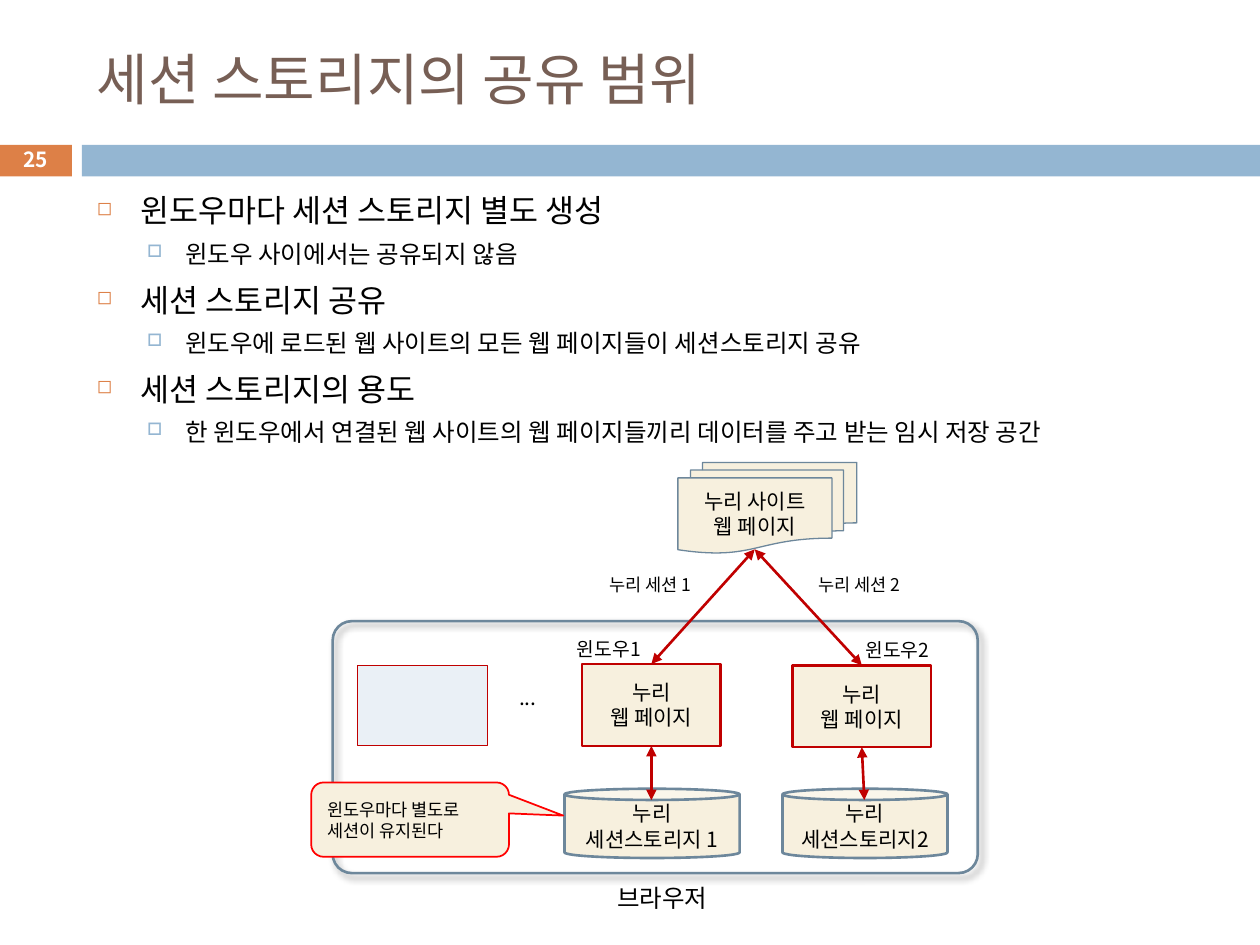
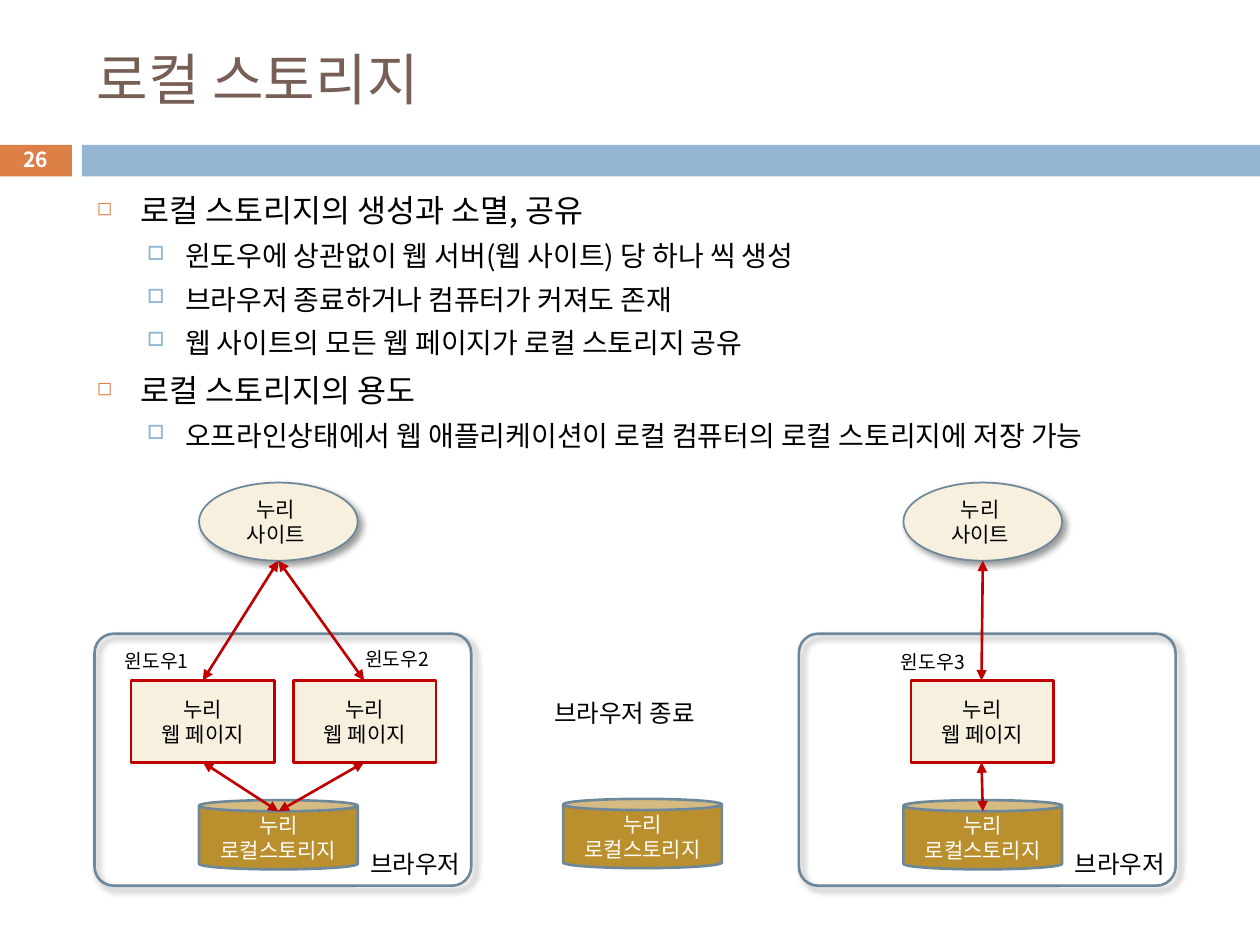
"""Builds two slides on how browsers share session storage and local storage."""
from dataclasses import dataclass
from typing import NamedTuple, Optional

from lxml.etree import SubElement
from pptx import Presentation
from pptx.dml.color import RGBColor
from pptx.enum.shapes import MSO_CONNECTOR, MSO_SHAPE as Preset
from pptx.enum.text import MSO_ANCHOR as Anchor, MSO_AUTO_SIZE as AutoSize, PP_ALIGN as Align
from pptx.oxml.ns import qn
from pptx.util import Emu, Pt

PX = 9144


@dataclass(frozen=True)
class Theme:
    """Colours, font and type sizes of the deck."""
    font: str = "Noto Sans CJK KR"
    brown: str = "775F55"
    orange: str = "DD8047"
    blue: str = "94B6D2"
    pale_blue: str = "EAF0F6"
    slate: str = "6D879B"
    cream: str = "F7F0DE"
    gold: str = "BA8F2D"
    crimson: str = "C00000"
    red: str = "FF0000"
    black: str = "000000"
    white: str = "FFFFFF"
    title_size: float = 32
    topic_size: float = 18
    caption_size: float = 14
    node_size: float = 12
    number_size: float = 11.9
    window_size: float = 11
    note_size: float = 10


THEME = Theme()


class TextStyle(NamedTuple):
    """Type size, colour and placing of a text."""
    size: float
    color: str = THEME.black
    align: Align = Align.CENTER
    bold: bool = False
    wrap: bool = True


class Look(NamedTuple):
    """Outline, paint and text style of a kind of box."""
    preset: Optional[Preset]
    text: TextStyle
    fill: Optional[str] = None
    line: Optional[str] = None
    width: float = 1.5
    shadow: bool = False
    adjustments: tuple[float, ...] = ()
    insets: tuple[int, int, int, int] = (10, 5, 10, 5)


class Point(NamedTuple):
    """A place on the slide in px."""
    x: int
    y: int


class Box(NamedTuple):
    """One shape or text box with its lines of text."""
    look: Look
    left: int
    top: int
    width: int
    height: int
    lines: tuple[str, ...] = ()

    def at_height(self, offset: int) -> Point:
        """Return the point on the vertical axis at an offset from the top."""
        return Point(self.left + self.width // 2, self.top + offset)

    def head(self) -> Point:
        """Return the middle of the top edge."""
        return self.at_height(0)

    def foot(self) -> Point:
        """Return the middle of the bottom edge."""
        return self.at_height(self.height)

    def rim(self) -> Point:
        """Return the front of the rim of a storage can."""
        return self.at_height(9)


class Arrow(NamedTuple):
    """A double-headed link between two points."""
    start: Point
    end: Point


class BulletStyle(NamedTuple):
    """Mark, indents and spacing of an outline level."""
    mark: str
    color: str
    percent: int
    margin: int
    hanging: int
    space: float


class Bullet(NamedTuple):
    """One line of the outline."""
    level: int
    text: str


class Page(NamedTuple):
    """The whole content of one slide."""
    number: int
    title: str
    detail_size: float
    bullets: tuple[Bullet, ...]
    boxes: tuple[Box, ...]
    arrows: tuple[Arrow, ...]


NODE = TextStyle(THEME.node_size)
CAPTION = TextStyle(THEME.caption_size, align=Align.LEFT, wrap=False)
TITLE = Look(None, TextStyle(THEME.title_size, THEME.brown, Align.LEFT))
NUMBER = Look(None, TextStyle(THEME.number_size, THEME.white, bold=True))
DOTS = Look(None, NODE)
BROWSER_NAME = Look(None, CAPTION)
WINDOW_NAME = Look(None, CAPTION._replace(size=THEME.window_size))
SESSION_NAME = Look(None, TextStyle(THEME.note_size, wrap=False))
ORANGE_BAND = Look(Preset.RECTANGLE, NODE, THEME.orange)
BLUE_BAND = ORANGE_BAND._replace(fill=THEME.blue)
BROWSER = Look(Preset.ROUNDED_RECTANGLE, NODE, None, THEME.slate, shadow=True, adjustments=(0.076,))
WEB_PAGE = Look(Preset.RECTANGLE, NODE, THEME.cream, THEME.crimson)
EMPTY_WINDOW = WEB_PAGE._replace(fill=THEME.pale_blue, width=0.75)
SESSION_STORE = Look(Preset.CAN, NODE, THEME.cream, THEME.slate, adjustments=(0.162,))
LOCAL_STORE = SESSION_STORE._replace(fill=THEME.gold, text=NODE._replace(color=THEME.white))
SITE = Look(Preset.OVAL, NODE, THEME.cream, THEME.slate, 1, True, insets=(0, 5, 4, 5))
SITE_PAGES = Look(Preset.FLOWCHART_MULTIDOCUMENT, NODE, THEME.cream, THEME.slate, 0.75)
CALLOUT = Look(Preset.ROUNDED_RECTANGULAR_CALLOUT, TextStyle(THEME.note_size, align=Align.LEFT),
               THEME.cream, THEME.red, 1, adjustments=(0.774, -0.054, 0.167))
BULLET_STYLES = (BulletStyle("◻", THEME.orange, 60, 35, 35, 7),
                 BulletStyle("□", THEME.blue, 70, 70, 30, 5.5))
BANDS = (Box(ORANGE_BAND, -1, 115, 58, 25), Box(BLUE_BAND, 65, 115, 935, 25))
WEB_PAGE_LINES = ("누리", "웹 페이지")


def px(*lengths: int) -> list[Emu]:
    """Turn px into EMU."""
    return [Emu(length * PX) for length in lengths]


def style_paragraph(paragraph, style: TextStyle) -> None:
    """Set alignment and font of a paragraph."""
    paragraph.alignment = style.align
    font = paragraph.font
    font.size, font.bold, font.name = Pt(style.size), style.bold, THEME.font
    font.color.rgb = RGBColor.from_string(style.color)
    properties = paragraph._p.pPr.find(qn("a:defRPr"))
    SubElement(properties, qn("a:ea"), typeface=THEME.font)


def write_lines(frame, lines: tuple[str, ...], style: TextStyle) -> None:
    """Write one styled paragraph for each line."""
    for index, line in enumerate(lines):
        paragraph = frame.add_paragraph() if index else frame.paragraphs[0]
        paragraph.text = line
        style_paragraph(paragraph, style)


def paint(shape, look: Look) -> None:
    """Apply fill, line, shadow and adjustments of a look."""
    if look.fill:
        shape.fill.solid()
        shape.fill.fore_color.rgb = RGBColor.from_string(look.fill)
    else:
        shape.fill.background()
    if look.line:
        shape.line.color.rgb = RGBColor.from_string(look.line)
        shape.line.width = Pt(look.width)
    else:
        shape.line.fill.background()
    for index, value in enumerate(look.adjustments):
        shape.adjustments[index] = value
    shape.shadow.inherit = False
    if look.shadow:
        effects = shape.element.spPr.find(qn("a:effectLst"))
        shadow = SubElement(effects, qn("a:outerShdw"), blurRad=str(Pt(4)), dist=str(Pt(3)),
                            dir=str(45 * 60000), algn="tl", rotWithShape="0")
        color = SubElement(shadow, qn("a:srgbClr"), val=THEME.black)
        SubElement(color, qn("a:alpha"), val="40000")


def draw_box(slide, box: Box) -> None:
    """Draw a shape or a text box."""
    look, place = box.look, px(*box[1:5])
    if look.preset is None:
        shape = slide.shapes.add_textbox(*place)
    else:
        shape = slide.shapes.add_shape(look.preset, *place)
        paint(shape, look)
    frame = shape.text_frame
    frame.word_wrap = look.text.wrap
    frame.vertical_anchor = Anchor.MIDDLE if look.text.wrap else Anchor.TOP
    if not look.text.wrap:
        frame.auto_size = AutoSize.SHAPE_TO_FIT_TEXT
    (frame.margin_left, frame.margin_top,
     frame.margin_right, frame.margin_bottom) = px(*look.insets)
    write_lines(frame, box.lines, look.text)


def draw_arrow(slide, arrow: Arrow) -> None:
    """Draw a line with a triangle at both ends."""
    connector = slide.shapes.add_connector(MSO_CONNECTOR.STRAIGHT, *px(*arrow.start, *arrow.end))
    connector.line.color.rgb = RGBColor.from_string(THEME.crimson)
    connector.line.width = Pt(1.5)
    properties = connector.element.spPr
    for end in ("a:headEnd", "a:tailEnd"):
        SubElement(properties.find(qn("a:ln")), qn(end), type="triangle")
    SubElement(properties, qn("a:effectLst"))


def draw_outline(slide, bullets: tuple[Bullet, ...], detail_size: float) -> None:
    """Write the two-level bullet list."""
    frame = slide.shapes.add_textbox(*px(67, 147, 892, 551)).text_frame
    frame.word_wrap = True
    for index, bullet in enumerate(bullets):
        style = BULLET_STYLES[bullet.level]
        paragraph = frame.add_paragraph() if index else frame.paragraphs[0]
        paragraph.text = bullet.text
        paragraph.level = bullet.level
        properties = paragraph._p.get_or_add_pPr()
        properties.set("marL", str(style.margin * PX))
        properties.set("indent", str(-style.hanging * PX))
        color = SubElement(properties, qn("a:buClr"))
        SubElement(color, qn("a:srgbClr"), val=style.color)
        SubElement(properties, qn("a:buSzPct"), val=str(style.percent * 1000))
        SubElement(properties, qn("a:buChar"), char=style.mark)
        if index:
            paragraph.space_before = Pt(style.space)
        size = detail_size if bullet.level else THEME.topic_size
        style_paragraph(paragraph, TextStyle(size, align=Align.LEFT))


def draw_page(presentation, page: Page) -> None:
    """Add one slide with bands, title, outline and diagram."""
    slide = presentation.slides.add_slide(presentation.slide_layouts[6])
    title = Box(TITLE, 67, 25, 892, 74, (page.title,))
    number = Box(NUMBER, -1, 113, 58, 27, (str(page.number),))
    for box in (*BANDS, title, number):
        draw_box(slide, box)
    draw_outline(slide, page.bullets, page.detail_size)
    for box in page.boxes:
        draw_box(slide, box)
    for arrow in page.arrows:
        draw_arrow(slide, arrow)


def window_name(left: int, top: int, number: int) -> Box:
    """Name a browser window."""
    return Box(WINDOW_NAME, left, top, 75, 29, (f"윈도우{number}",))


def local_store(left: int, top: int) -> Box:
    """Describe a local storage can."""
    return Box(LOCAL_STORE, left, top, 126, 55, ("누리", "로컬스토리지"))


def browser_with_site(left: int) -> tuple[Box, Box, Box, Box]:
    """Describe a browser, its site, its local storage and its name."""
    return (Box(BROWSER, left, 503, 299, 200),
            Box(SITE, left + 83, 383, 126, 62, ("누리", "사이트")),
            local_store(left + 83, 635),
            Box(BROWSER_NAME, left + 209, 669, 99, 34, ("브라우저",)))


def session_page() -> Page:
    """Describe the slide on the scope of session storage."""
    pages = [Box(WEB_PAGE, left, top, 110, 65, WEB_PAGE_LINES)
             for left, top in ((462, 527), (629, 528))]
    stores = [Box(SESSION_STORE, left, 626, width, 55, ("누리", name)) for left, width, name in
              ((448, 139, "세션스토리지 1"), (621, 131, "세션스토리지2"))]
    sessions = [Box(SESSION_NAME, left, 451, 94, 27, (f"누리 세션 {number}",))
                for number, left in enumerate((469, 635), 1)]
    site_foot = Point(599, 436)
    boxes = (Box(BROWSER, 264, 493, 512, 200), *pages, *sessions, *stores,
             Box(DOTS, 393, 515, 52, 77, ("...",)),
             Box(BROWSER_NAME, 480, 696, 99, 34, ("브라우저",)),
             Box(CALLOUT, 247, 621, 157, 59, ("윈도우마다 별도로 세션이 유지된다",)),
             window_name(448, 501, 1), window_name(677, 502, 2),
             Box(EMPTY_WINDOW, 284, 528, 103, 64),
             Box(SITE_PAGES, 538, 367, 142, 72, ("누리 사이트", "웹 페이지")))
    arrows = (*(Arrow(site_foot, page.head()) for page in pages),
              *(Arrow(page.foot(), store.rim()) for page, store in zip(pages, stores)))
    bullets = (Bullet(0, "윈도우마다 세션 스토리지 별도 생성"),
               Bullet(1, "윈도우 사이에서는 공유되지 않음"),
               Bullet(0, "세션 스토리지 공유"),
               Bullet(1, "윈도우에 로드된 웹 사이트의 모든 웹 페이지들이 세션스토리지 공유"),
               Bullet(0, "세션 스토리지의 용도"),
               Bullet(1, "한 윈도우에서 연결된 웹 사이트의 웹 페이지들끼리 데이터를 주고 받는 임시 저장 공간"))
    return Page(25, "세션 스토리지의 공유 범위", 14, bullets, boxes, arrows)


def local_page() -> Page:
    """Describe the slide on local storage."""
    before, after = browser_with_site(75), browser_with_site(634)
    pages = [Box(WEB_PAGE, left, 540, width, 65, WEB_PAGE_LINES)
             for left, width in ((104, 114), (233, 113), (723, 113))]
    boxes = (*before, *after, *pages, local_store(447, 634),
             Box(BROWSER_NAME, 430, 549, 145, 34, ("브라우저 종료",)),
             window_name(89, 510, 1), window_name(280, 509, 2), window_name(705, 511, 3))
    arrows = tuple(arrow for page, (_, site, store, _) in zip(pages, (before, before, after))
                   for arrow in (Arrow(site.foot(), page.head()), Arrow(page.foot(), store.rim())))
    bullets = (Bullet(0, "로컬 스토리지의 생성과 소멸, 공유"),
               Bullet(1, "윈도우에 상관없이 웹 서버(웹 사이트) 당 하나 씩 생성"),
               Bullet(1, "브라우저 종료하거나 컴퓨터가 커져도 존재"),
               Bullet(1, "웹 사이트의 모든 웹 페이지가 로컬 스토리지 공유"),
               Bullet(0, "로컬 스토리지의 용도"),
               Bullet(1, "오프라인상태에서 웹 애플리케이션이 로컬 컴퓨터의 로컬 스토리지에 저장 가능"))
    return Page(26, "로컬 스토리지", 16, bullets, boxes, arrows)


def main() -> None:
    """Build and save the presentation."""
    presentation = Presentation()
    presentation.slide_width, presentation.slide_height = px(1000, 750)
    for page in (session_page(), local_page()):
        draw_page(presentation, page)
    presentation.save("out.pptx")


if __name__ == "__main__":
    main()
